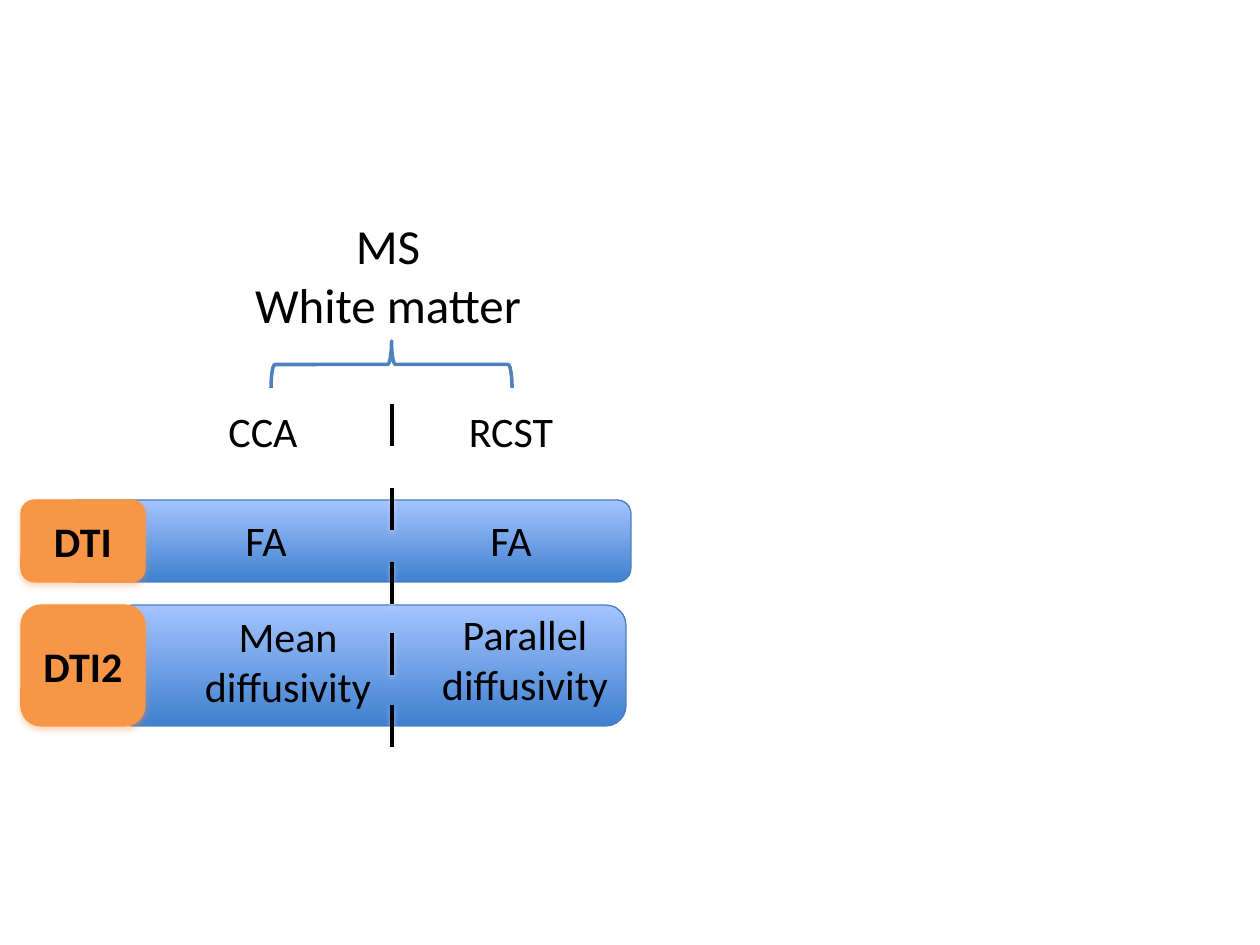
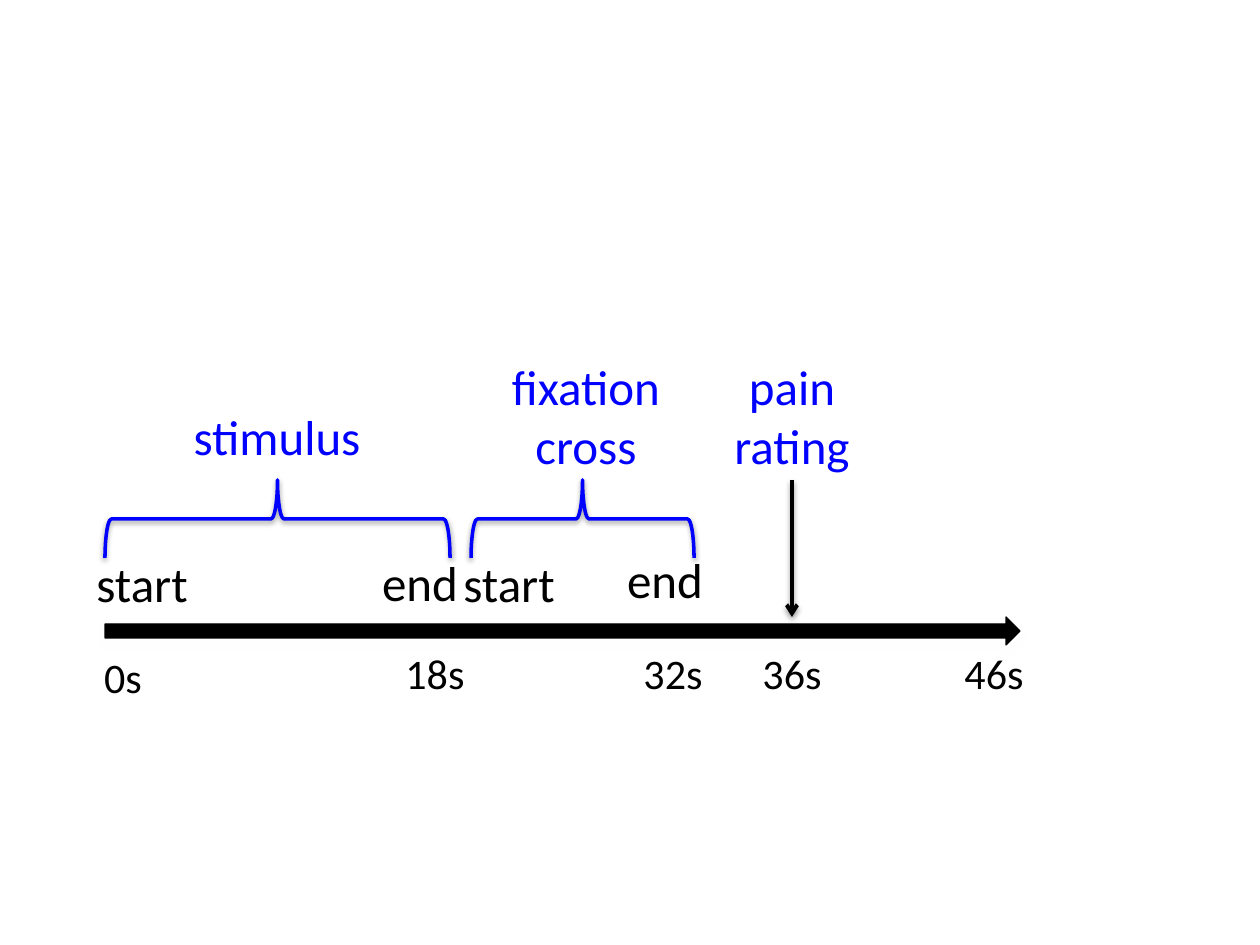
from lxml.etree import SubElement
from pptx import Presentation
from pptx.dml.color import RGBColor
from pptx.enum.shapes import MSO_CONNECTOR, MSO_SHAPE
from pptx.enum.text import MSO_ANCHOR, MSO_AUTO_SIZE, PP_ALIGN
from pptx.oxml.ns import qn
from pptx.util import Emu, Pt

SCALE = 914400 // 126
FONT = "Calibri"
COLORS = {
    "black": "000000", "white": "FFFFFF", "orange": "F79646",
    "brace": "4F81BD", "bar line": "4B7EBC", "bar dark": "3F80CE",
    "bar light": "A4C4FF", "blue": "0000FF",
}

# text: lines, centre x, top, width, size, color
MATTER_TEXTS = [
    (["MS", "White matter"], 388, 209, 309, 28, "black"),
    (["CCA"], 263, 399, 96, 24, "black"),
    (["RCST"], 511, 399, 112, 24, "black"),
    (["FA"], 266, 508, 69, 24, "black"),
    (["FA"], 511, 508, 69, 24, "black"),
    (["Mean", "diffusivity"], 288, 604, 195, 24, "black"),
    (["Parallel", "diffusivity"], 525, 602, 195, 24, "black"),
]
# row: label, top, height, bar left, bar right
SCAN_ROWS = [("DTI", 500, 82, 63, 631), ("DTI2", 605, 121, 113, 626)]
LABEL_LEFT, LABEL_WIDTH = 21, 124
DIVIDER_X, DASH_LENGTH = 392, 42
DASH_TOPS = [404, 488, 562, 633, 705]
MATTER_BRACE = (271, 341, 241, 47)

TIMELINE = (105, 617, 915, 28)
PHASE_BRACES = [(105, 480, 345, 78), (471, 480, 223, 78)]
PHASE_TEXTS = [
    (["stimulus"], 277, 400, 195, 28, "blue"),
    (["fixation", "cross"], 586, 350, 178, 28, "blue"),
    (["pain", "rating"], 792, 350, 144, 28, "blue"),
    (["start"], 142, 547, 120, 28, "black"),
    (["end"], 420, 546, 102, 28, "black"),
    (["start"], 509, 547, 120, 28, "black"),
    (["end"], 665, 543, 102, 28, "black"),
]
TIMES = [("0s", 123, 645), ("18s", 435, 641), ("32s", 673, 641),
         ("36s", 792, 641), ("46s", 994, 641)]
RATING_ARROW = (792, 480, 617)


def px(*values):
    return [Emu(round(value * SCALE)) for value in values]


def rgb(name):
    return RGBColor.from_string(COLORS[name])


def add_shadow(shape, color, alpha, distance):
    effects = SubElement(shape._element.spPr, qn("a:effectLst"))
    shadow = SubElement(effects, qn("a:outerShdw"), blurRad="40000",
                        dist=str(distance), dir="5400000", rotWithShape="0")
    tint = SubElement(shadow, qn("a:srgbClr"), val=COLORS[color])
    SubElement(tint, qn("a:alpha"), val=str(alpha * 1000))


def set_line(shape, color, width):
    shape.line.color.rgb = rgb(color)
    shape.line.width = Pt(width)


def write(frame, lines, size, color, bold=False):
    for index, line in enumerate(lines):
        paragraph = frame.paragraphs[0] if index == 0 else frame.add_paragraph()
        paragraph.alignment = PP_ALIGN.CENTER
        run = paragraph.add_run()
        run.text = line
        run.font.name = FONT
        run.font.size = Pt(size)
        run.font.bold = bold
        run.font.color.rgb = rgb(color)


def add_text(slide, lines, center, top, width, size, color):
    height = 12.6 + len(lines) * size * 2.12
    box = slide.shapes.add_textbox(*px(center - width / 2, top, width, height))
    box.text_frame.word_wrap = False
    box.text_frame.auto_size = MSO_AUTO_SIZE.SHAPE_TO_FIT_TEXT
    write(box.text_frame, lines, size, color)


def add_block(slide, kind, box, fill, line, shadow):
    shape = slide.shapes.add_shape(kind, *px(*box))
    if isinstance(fill, tuple):
        shape.fill.gradient()
        shape.fill.gradient_angle = 90
        for stop, color, position in zip(shape.fill.gradient_stops, fill, (0, 1)):
            stop.color.rgb = rgb(color)
            stop.position = position
    else:
        shape.fill.solid()
        shape.fill.fore_color.rgb = rgb(fill)
    set_line(shape, line, 0.75)
    add_shadow(shape, shadow, 35, 23000)
    return shape


def add_brace(slide, box, color, shadow):
    left, top, width, height = box
    shift = (width - height) / 2
    brace = slide.shapes.add_shape(
        MSO_SHAPE.LEFT_BRACE, *px(left + shift, top - shift, height, width))
    brace.rotation = 90
    brace.fill.background()
    set_line(brace, color, 2)
    add_shadow(brace, shadow, 38, 20000)


def add_vertical(slide, x, top, bottom, width, shadow, arrow=False):
    line = slide.shapes.add_connector(MSO_CONNECTOR.STRAIGHT, *px(x, top, x, bottom))
    set_line(line, "black", width)
    if arrow:
        SubElement(line.line._get_or_add_ln(), qn("a:tailEnd"), type="arrow")
    add_shadow(line, shadow, 38, 20000)


def build_matter(slide):
    for label, top, height, left, right in SCAN_ROWS:
        add_block(slide, MSO_SHAPE.ROUNDED_RECTANGLE, (left, top, right - left, height),
                  ("bar dark", "bar light"), "bar line", "white")
        tag = add_block(slide, MSO_SHAPE.ROUNDED_RECTANGLE,
                        (LABEL_LEFT, top, LABEL_WIDTH, height),
                        "orange", "orange", "orange")
        tag.text_frame.word_wrap = True
        tag.text_frame.vertical_anchor = MSO_ANCHOR.MIDDLE
        write(tag.text_frame, [label], 24, "black", bold=True)
    for text in MATTER_TEXTS:
        add_text(slide, *text)
    add_brace(slide, MATTER_BRACE, "brace", "white")
    for top in DASH_TOPS:
        add_vertical(slide, DIVIDER_X, top, top + DASH_LENGTH, 2, "white")


def build_timeline(slide):
    add_block(slide, MSO_SHAPE.RIGHT_ARROW, TIMELINE, "black", "black", "white")
    for text in PHASE_TEXTS:
        add_text(slide, *text)
    for label, center, top in TIMES:
        add_text(slide, [label], center, top, 24 + 20 * len(label), 24, "black")
    for box in PHASE_BRACES:
        add_brace(slide, box, "blue", "black")
    add_vertical(slide, *RATING_ARROW, 2.25, "black", arrow=True)


presentation = Presentation()
presentation.slide_width, presentation.slide_height = px(1260, 945)
for build in (build_matter, build_timeline):
    build(presentation.slides.add_slide(presentation.slide_layouts[6]))
presentation.save("out.pptx")
